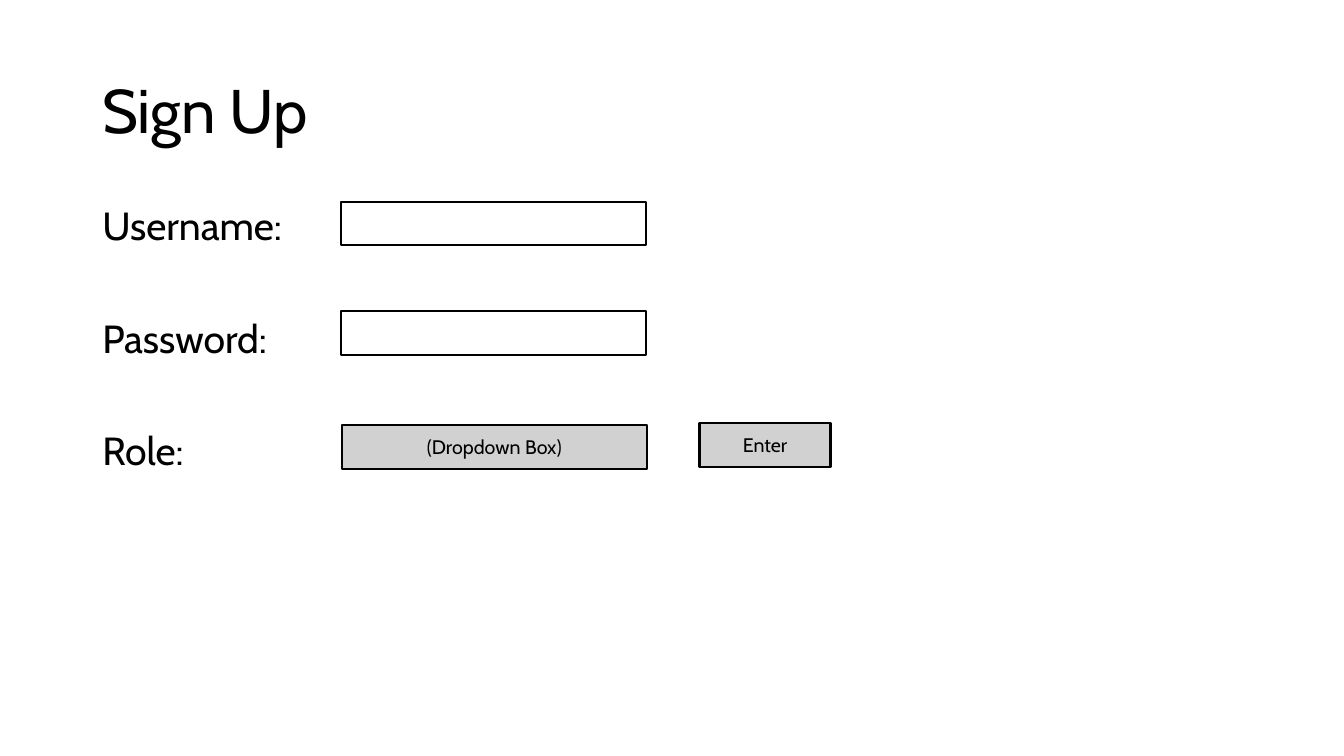
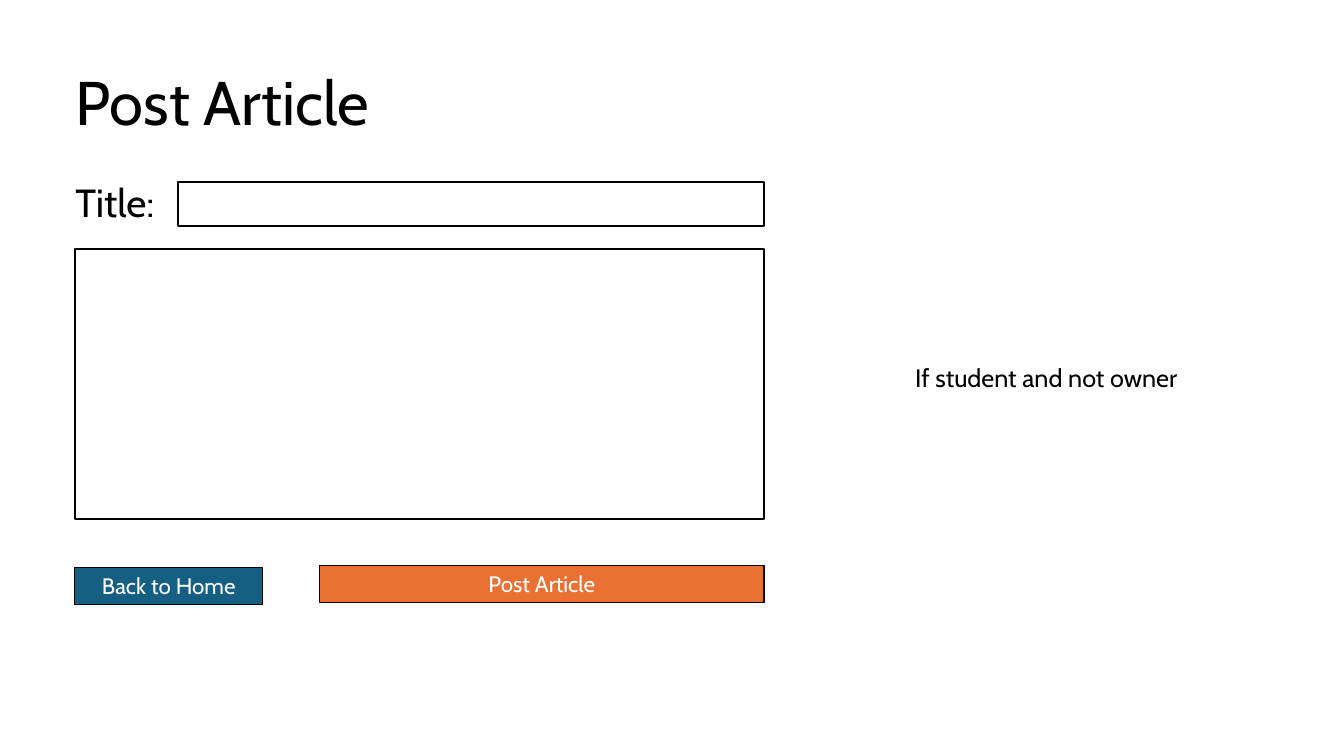
from pptx import Presentation
from pptx.dml.color import RGBColor
from pptx.enum.shapes import MSO_SHAPE
from pptx.enum.text import MSO_ANCHOR, PP_ALIGN
from pptx.util import Pt

FONT = "Cabin"
BLACK, WHITE, GREY = "000000", "FFFFFF", "D1D1D1"
BLUE, ORANGE = "156082", "E97132"
FIELD_HEIGHT = 31
BUTTON_HEIGHT = 26.6


def color(hex_value):
    return RGBColor.from_string(hex_value)


def write(shape, text, size=28, fill=BLACK, align=PP_ALIGN.LEFT,
          anchor=MSO_ANCHOR.TOP, line_spacing=None, gap=0, wrap=True):
    """Write one paragraph per line of text, with gap points between them."""
    frame = shape.text_frame
    frame.word_wrap = wrap
    frame.vertical_anchor = anchor
    for index, line in enumerate(text.split("\n")):
        paragraph = frame.add_paragraph() if index else frame.paragraphs[0]
        paragraph.text = line
        paragraph.alignment = align
        paragraph.space_before = Pt(gap if index else 0)
        if line_spacing:
            paragraph.line_spacing = line_spacing
        paragraph.font.name = FONT
        paragraph.font.size = Pt(size)
        paragraph.font.color.rgb = color(fill)


def add_text(slide, text, left, top, width, height, **text_format):
    shape = slide.shapes.add_textbox(Pt(left), Pt(top), Pt(width), Pt(height))
    write(shape, text, **text_format)


def add_title(slide, text, left, top):
    add_text(slide, text, left, top, 828, 104.4, size=44,
             anchor=MSO_ANCHOR.MIDDLE, line_spacing=0.9)


def add_box(slide, left, top, width, height=FIELD_HEIGHT, fill=None, line_width=1.5):
    """Add an outlined rectangle, empty unless a fill is given."""
    shape = slide.shapes.add_shape(MSO_SHAPE.RECTANGLE, Pt(left), Pt(top),
                                   Pt(width), Pt(height))
    shape.shadow.inherit = False
    if fill:
        shape.fill.solid()
        shape.fill.fore_color.rgb = color(fill)
    else:
        shape.fill.background()
    shape.line.color.rgb = color(BLACK)
    shape.line.width = Pt(line_width)
    return shape


def add_form_control(slide, text, left, top, width):
    shape = add_box(slide, left, top, width, fill=GREY)
    write(shape, text, size=14, align=PP_ALIGN.CENTER, anchor=MSO_ANCHOR.MIDDLE)


def add_action_button(slide, text, left, top, width, fill):
    shape = add_box(slide, left, top, width, BUTTON_HEIGHT, fill, line_width=0.75)
    write(shape, text, size=16, fill=WHITE, align=PP_ALIGN.CENTER)


def add_slide(presentation):
    return presentation.slides.add_slide(presentation.slide_layouts[6])


def build_sign_up(presentation):
    slide = add_slide(presentation)
    left, field_left, field_width = 66, 243.4, 218.2
    add_title(slide, "Sign Up", left, 28.8)
    add_text(slide, "Username:\nPassword:\nRole:", left, 144, 828, 342.7,
             line_spacing=0.9, gap=50.2)
    for top in (144, 222.5):
        add_box(slide, field_left, top, field_width)
    add_form_control(slide, "(Dropdown Box)", 244, 303.8, field_width)
    add_form_control(slide, "Enter", 499.7, 302.4, 93.6)


def build_post_article(presentation):
    slide = add_slide(presentation)
    text_left, left, right = 46.8, 53.3, 545.8
    title_field_left, post_left = 127.4, 228.2
    add_title(slide, "Post Article", text_left, 23)
    add_text(slide, "Title:", text_left, 127.4, 200, 59, line_spacing=0.9)
    add_box(slide, title_field_left, 130.3, right - title_field_left)
    add_box(slide, left, 177.8, right - left, 193)
    add_action_button(slide, "Back to Home", left, 405.4, 134.6, BLUE)
    add_action_button(slide, "Post Article", post_left, 403.9, right - post_left, ORANGE)
    add_text(slide, "If student and not owner", 646.6, 255.6, 203.8, 28.8,
             size=18, wrap=False)


def main():
    presentation = Presentation()
    presentation.slide_width = Pt(960)
    presentation.slide_height = Pt(540)
    build_sign_up(presentation)
    build_post_article(presentation)
    presentation.save("out.pptx")


if __name__ == "__main__":
    main()
